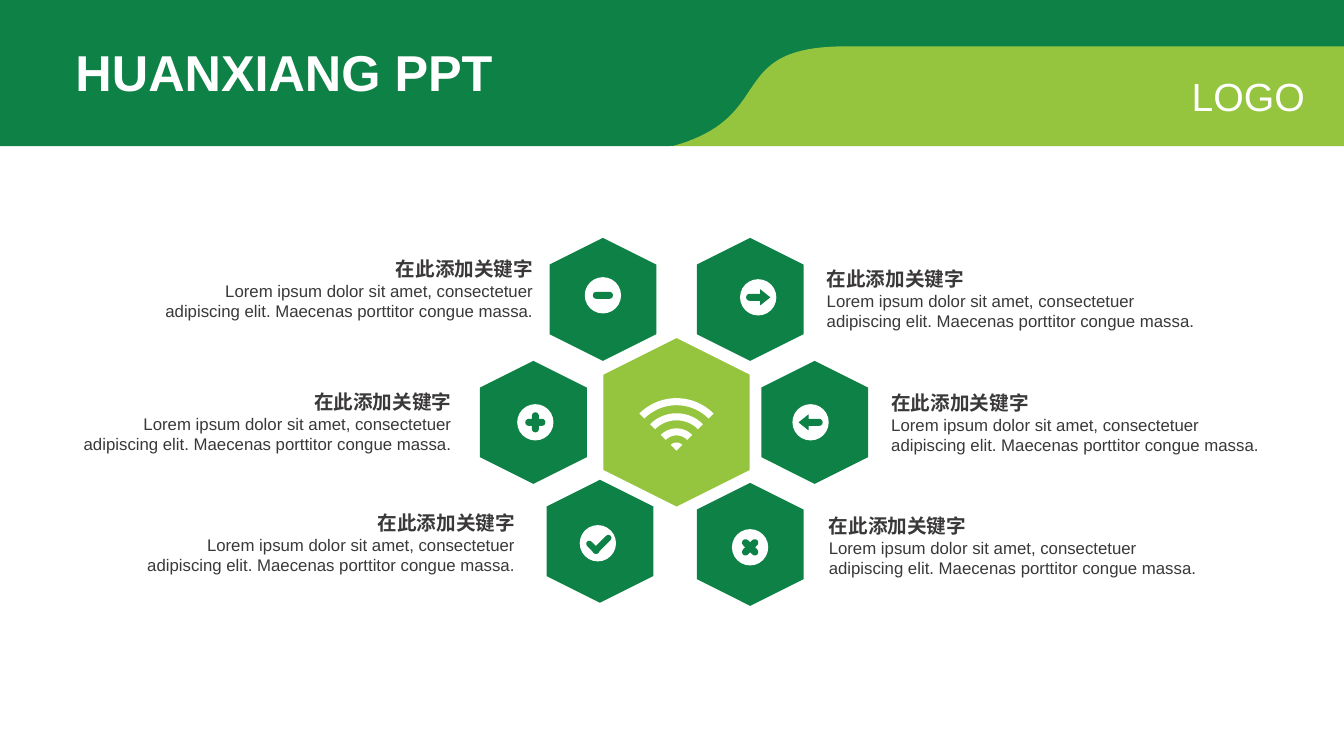
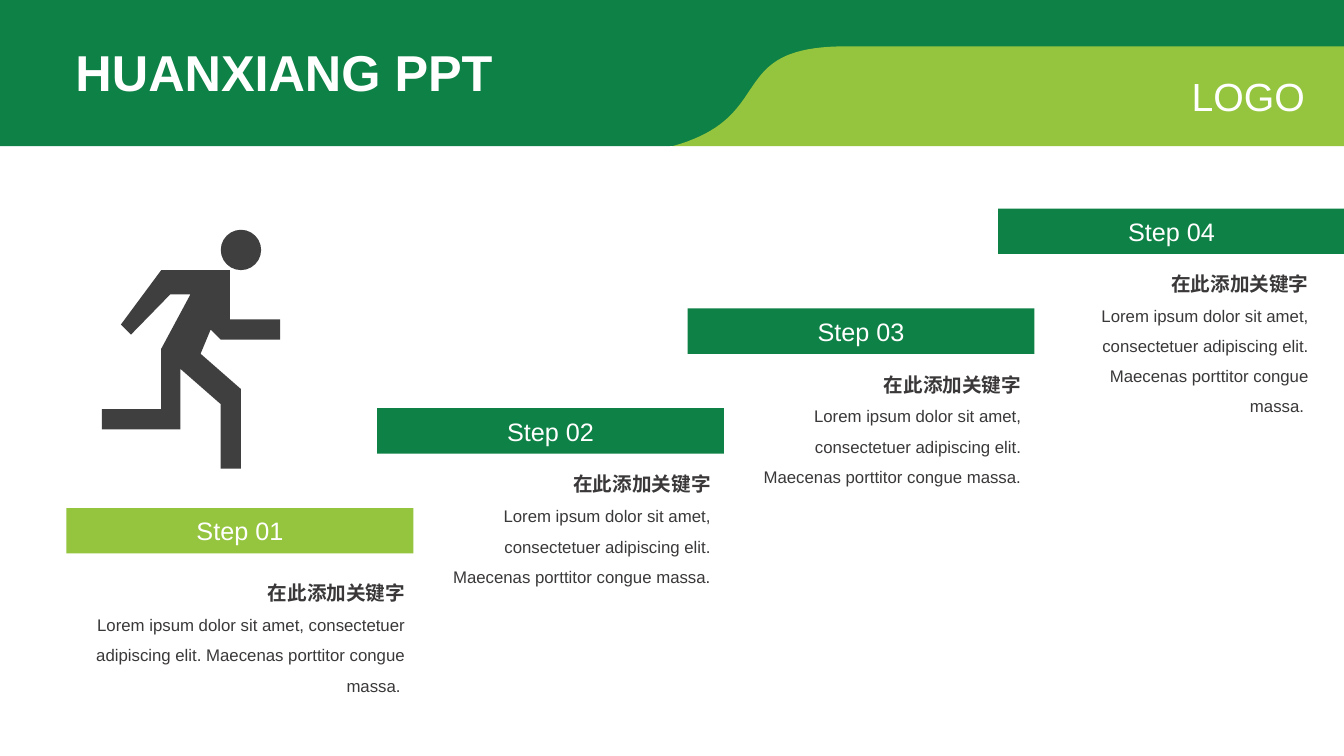
"""Build two green slides: a hexagon cluster and a staircase of steps."""
from dataclasses import dataclass
from math import cos, radians, sin
from typing import NamedTuple

from pptx import Presentation
from pptx.dml.color import RGBColor
from pptx.enum.shapes import MSO_SHAPE as Preset
from pptx.enum.text import MSO_ANCHOR as Anchor, MSO_AUTO_SIZE as AutoSize, PP_ALIGN as Align
from pptx.util import Inches, Pt


@dataclass(frozen=True)
class Theme:
    """Colours, font and type sizes of the deck."""
    green: str = "0E8146"
    lime: str = "95C53E"
    white: str = "FFFFFF"
    ink: str = "3A3838"
    figure: str = "3F3F3F"
    font: str = "Arial"
    title: int = 36
    logo: int = 28
    step: int = 18
    keyword: int = 14
    body: int = 12


class Topic(NamedTuple):
    """One outer hexagon with its icon and caption."""
    hexagon: tuple
    disc: tuple
    icon: str
    caption: tuple
    align: Align


THEME = Theme()
KEYWORD = "在此添加关键字"
BODY = "Lorem ipsum dolor sit amet, consectetuer adipiscing elit. Maecenas porttitor congue massa."

TOPICS = [
    Topic((5.98, 2.97), (5.98, 2.93), "minus", (1.49, 2.48), Align.RIGHT),
    Topic((5.29, 4.19), (5.31, 4.19), "plus", (0.68, 3.8), Align.RIGHT),
    Topic((5.95, 5.37), (5.93, 5.39), "check", (1.31, 5), Align.RIGHT),
    Topic((7.44, 2.97), (7.52, 2.95), "right", (8.07, 2.58), Align.LEFT),
    Topic((8.08, 4.19), (8.04, 4.19), "left", (8.71, 3.81), Align.LEFT),
    Topic((7.44, 5.4), (7.44, 5.43), "cross", (8.09, 5.03), Align.LEFT),
]

BAR, HEAD = Preset.ROUNDED_RECTANGLE, Preset.ISOSCELES_TRIANGLE
ICONS = {
    "minus": [(BAR, 0, 0, 0.2, 0.07, 0)],
    "plus": [(BAR, 0, 0, 0.2, 0.07, angle) for angle in (0, 90)],
    "cross": [(BAR, 0, 0, 0.2, 0.07, angle) for angle in (45, 135)],
    "check": [(BAR, -0.05, 0.04, 0.16, 0.06, 45), (BAR, 0.04, 0.01, 0.24, 0.06, 135)],
    "right": [(BAR, -0.03, 0, 0.18, 0.07, 0), (HEAD, 0.07, 0, 0.16, 0.1, 90)],
    "left": [(BAR, 0.03, 0, 0.18, 0.07, 0), (HEAD, -0.07, 0, 0.16, 0.1, 270)],
}

STEP_CAPTIONS = [
    (0.66, 5.58, 3.49, 1.4),
    (4.33, 4.5, 2.85, 1.4),
    (7.41, 3.51, 2.85, 1.4),
    (10.49, 2.51, 2.62, 1.7),
]

RUNNER_BODY = [
    (1.3, 3.32), (1.69, 2.92), (1.89, 2.92), (1.6, 3.46), (1.6, 4.06), (1.01, 4.06),
    (1.01, 4.26), (1.79, 4.26), (1.79, 3.66), (2.19, 4.01), (2.19, 4.65), (2.39, 4.65),
    (2.39, 3.86), (1.99, 3.51), (2.09, 3.27), (2.19, 3.37), (2.78, 3.37), (2.78, 3.17),
    (2.28, 3.17), (2.28, 2.68), (1.6, 2.68), (1.2, 3.22),
]


def curve(start, pull_out, pull_in, end, steps=40):
    """Return points along a cubic Bezier curve."""
    points = []
    for index in range(steps + 1):
        t = index / steps
        weights = ((1 - t) ** 3, 3 * t * (1 - t) ** 2, 3 * t * t * (1 - t), t ** 3)
        points.append(tuple(
            sum(weight * value for weight, value in zip(weights, axis))
            for axis in zip(start, pull_out, pull_in, end)))
    return points


def arc(center, radius, angles):
    """Return points on a circle at the given degrees from straight up."""
    return [(center[0] + radius * sin(radians(angle)), center[1] - radius * cos(radians(angle)))
            for angle in angles]


def paint(shape, color):
    """Give a shape a flat fill without line or shadow."""
    shape.shadow.inherit = False
    shape.fill.solid()
    shape.fill.fore_color.rgb = RGBColor.from_string(color)
    shape.line.fill.background()
    return shape


def add_outline(shapes, points, color):
    """Add a closed, filled outline."""
    corners = [(Inches(x), Inches(y)) for x, y in points]
    builder = shapes.build_freeform(*corners[0])
    builder.add_line_segments(corners[1:], close=True)
    return paint(builder.convert_to_shape(), color)


def add_preset(shapes, preset, box, color):
    """Add a filled preset shape at left, top, width, height."""
    return paint(shapes.add_shape(preset, *map(Inches, box)), color)


def add_centered(shapes, preset, center, size, color, rotation=0):
    """Add a filled preset shape around its center."""
    box = (center[0] - size[0] / 2, center[1] - size[1] / 2, *size)
    shape = add_preset(shapes, preset, box, color)
    shape.rotation = rotation
    return shape


def style(paragraph, size, color, align=Align.LEFT, bold=False):
    """Format a paragraph and its runs."""
    paragraph.alignment = align
    for run in paragraph.runs:
        run.font.name = THEME.font
        run.font.size = Pt(size)
        run.font.bold = bold
        run.font.color.rgb = RGBColor.from_string(color)


def add_label(shapes, box, text, size, align=Align.LEFT, bold=False):
    """Add a one-line white label."""
    frame = shapes.add_textbox(*map(Inches, box)).text_frame
    frame.word_wrap = False
    frame.auto_size = AutoSize.SHAPE_TO_FIT_TEXT
    frame.text = text
    style(frame.paragraphs[0], size, THEME.white, align, bold)


def add_caption(shapes, box, align, spacing=1.0):
    """Add a bold keyword with its description below."""
    frame = shapes.add_textbox(*map(Inches, box)).text_frame
    frame.word_wrap = True
    frame.auto_size = AutoSize.SHAPE_TO_FIT_TEXT
    frame.margin_left = frame.margin_right = Inches(0.13)
    frame.margin_top = frame.margin_bottom = Inches(0.07)
    ending = " " if align == Align.RIGHT else ""
    frame.text = f"{KEYWORD}\n{BODY}{ending}"
    keyword, body = frame.paragraphs
    style(keyword, THEME.keyword, THEME.ink, align, bold=True)
    style(body, THEME.body, THEME.ink, align)
    for paragraph in frame.paragraphs:
        paragraph.line_spacing = spacing


def add_header(shapes):
    """Add the two header bands, the title and the logo label."""
    green_edge = curve((8.09, 0.56), (7.27, 0.86), (7.7, 1.45), (6.55, 1.45))
    lime_edge = curve((6.67, 1.45), (7.73, 1.16), (7.17, 0.46), (8.39, 0.46))
    add_outline(shapes, [(0, 0), (13.33, 0), (13.33, 0.5), (8.27, 0.5), *green_edge, (0, 1.45)],
                THEME.green)
    add_outline(shapes, [*lime_edge, (13.33, 0.46), (13.33, 1.45)], THEME.lime)
    add_label(shapes, (0.65, 0.36, 4.38, 0.71), "HUANXIANG PPT", THEME.title, bold=True)
    add_label(shapes, (11.7, 0.67, 1.34, 0.57), "LOGO", THEME.logo, Align.RIGHT)


def add_icon(shapes, center, icon):
    """Add a white disc with a green symbol."""
    add_centered(shapes, Preset.OVAL, center, (0.36, 0.36), THEME.white)
    for preset, dx, dy, width, height, rotation in ICONS[icon]:
        spot = (center[0] + dx, center[1] + dy)
        part = add_centered(shapes, preset, spot, (width, height), THEME.green, rotation)
        if preset == BAR:
            part.adjustments[0] = 0.5


def add_signal(shapes, center):
    """Add the wireless signal of concentric arcs."""
    sweep = range(-45, 46, 3)
    for outer, inner in ((0.52, 0.45), (0.37, 0.3), (0.22, 0.15), (0.08, 0)):
        inner_edge = arc(center, inner, reversed(sweep)) if inner else [center]
        add_outline(shapes, arc(center, outer, sweep) + inner_edge, THEME.white)


def add_runner(shapes):
    """Add the running figure as a group."""
    runner = shapes.add_group_shape().shapes
    add_outline(runner, RUNNER_BODY, THEME.figure)
    add_preset(runner, Preset.OVAL, (2.19, 2.28, 0.4, 0.4), THEME.figure)


def add_step(shapes, index, caption):
    """Add one stair of the staircase with its caption."""
    box = (0.66 + 3.08 * index, 5.04 - 0.99 * index, 3.44, 0.45)
    stair = add_preset(shapes, Preset.RECTANGLE, box, THEME.green if index else THEME.lime)
    frame = stair.text_frame
    frame.vertical_anchor = Anchor.MIDDLE
    frame.text = f"Step {index + 1:02}"
    style(frame.paragraphs[0], THEME.step, THEME.white, Align.CENTER)
    add_caption(shapes, caption, Align.RIGHT, spacing=1.5)


def fill_hexagons(shapes):
    """Fill the hexagon slide."""
    for topic in TOPICS:
        add_centered(shapes, Preset.HEXAGON, topic.hexagon, (1.22, 1.06), THEME.green, 90)
        add_icon(shapes, topic.disc, topic.icon)
        add_caption(shapes, (*topic.caption, 3.93, 0.77), topic.align)
    add_centered(shapes, Preset.HEXAGON, (6.71, 4.19), (1.67, 1.45), THEME.lime, 90)
    add_signal(shapes, (6.71, 4.47))


def fill_steps(shapes):
    """Fill the staircase slide."""
    add_runner(shapes)
    for index, caption in enumerate(STEP_CAPTIONS):
        add_step(shapes, index, caption)


def main():
    """Build and save the deck."""
    deck = Presentation()
    deck.slide_width, deck.slide_height = Inches(13.33), Inches(7.5)
    for fill_slide in (fill_hexagons, fill_steps):
        shapes = deck.slides.add_slide(deck.slide_layouts[6]).shapes
        add_header(shapes)
        fill_slide(shapes)
    deck.save("out.pptx")


if __name__ == "__main__":
    main()
